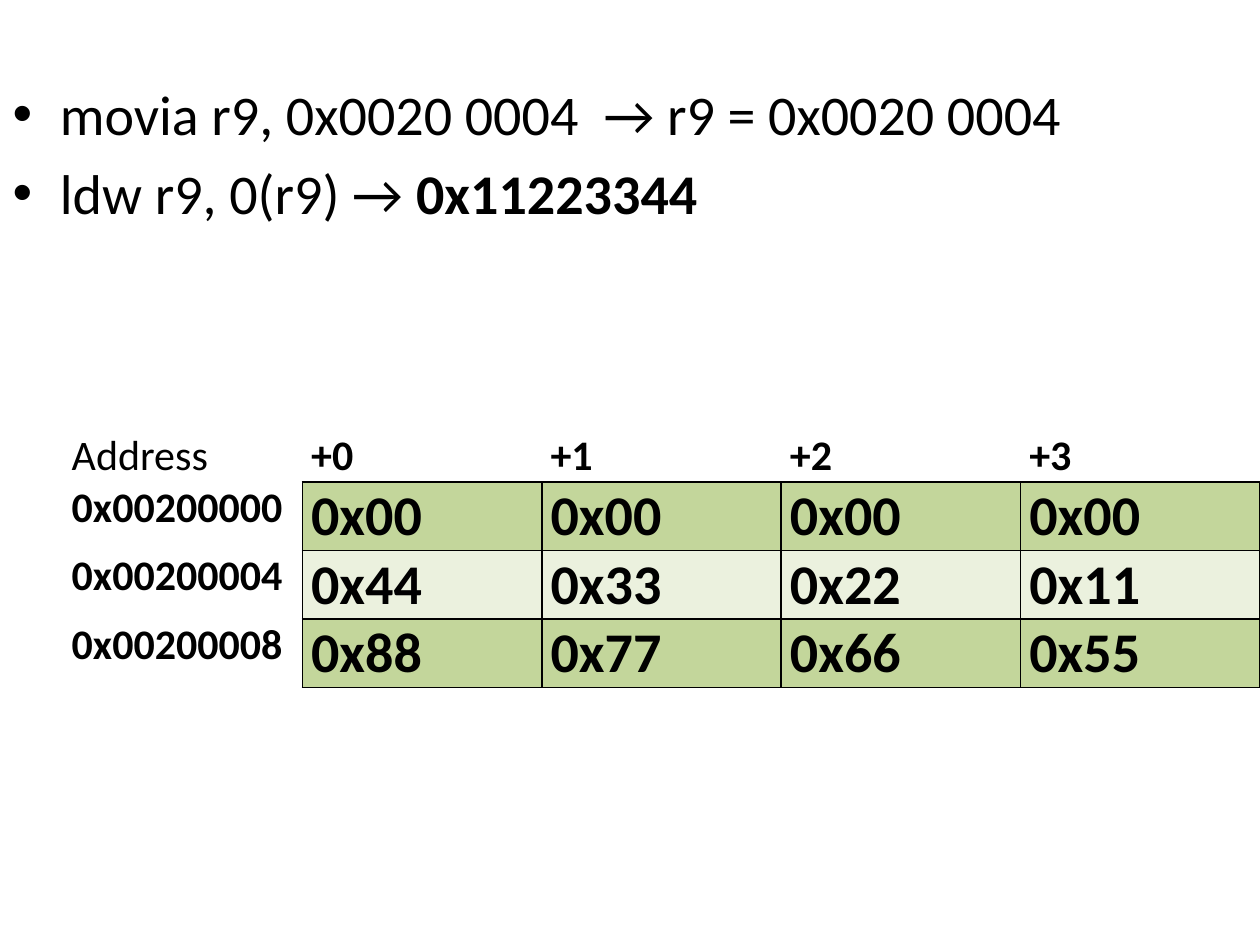
from dataclasses import dataclass

from lxml import etree
from pptx import Presentation
from pptx.dml.color import RGBColor
from pptx.enum.text import MSO_ANCHOR, MSO_AUTO_SIZE
from pptx.oxml.ns import qn
from pptx.util import Pt

TOP = MSO_ANCHOR.TOP
NO_AUTOFIT = MSO_AUTO_SIZE.NONE
TITLE_AND_CONTENT = 1
NO_STYLE_NO_GRID = "{2D5ABB26-0587-4C30-8999-92F81FD0307C}"


@dataclass(frozen=True)
class Theme:
    font: str = "Calibri"
    ink: str = "000000"
    bands: tuple = ("C3D69B", "EBF1DE")
    large: int = 32
    small: int = 24
    border: int = 1


THEME = Theme()

INSTRUCTIONS = [
    [("movia r9, 0x0020 0004  → r9 = 0x0020 0004", False)],
    [("ldw r9, 0(r9) → ", False), ("0x11223344", True)],
]

MEMORY = [
    ["Address", "+0", "+1", "+2", "+3"],
    ["0x00200000", "0x00", "0x00", "0x00", "0x00"],
    ["0x00200004", "0x44", "0x33", "0x22", "0x11"],
    ["0x00200008", "0x88", "0x77", "0x66", "0x55"],
]


def set_attrs(obj, values):
    for name, value in values.items():
        setattr(obj, name, value)


def add_run(p, text, size, bold):
    r = p.add_run()
    r.text = text
    set_attrs(r.font, {"name": THEME.font, "size": Pt(size), "bold": bold})
    r.font.color.rgb = RGBColor.from_string(THEME.ink)


def add_instructions(s, lines):
    sp = s.placeholders[1]
    set_attrs(sp, {"left": Pt(0), "top": Pt(42), "width": Pt(720), "height": Pt(498)})
    tf = sp.text_frame
    tf.auto_size = NO_AUTOFIT
    for i, line in enumerate(lines):
        p = tf.add_paragraph() if i else tf.paragraphs[0]
        for text, bold in line:
            add_run(p, text, THEME.large, bold)


def add_borders(cell, sides):
    tcPr = cell._tc.get_or_add_tcPr()
    for side in sides:
        ln = etree.SubElement(tcPr, qn(f"a:ln{side}"), w=str(Pt(THEME.border)))
        fill = etree.SubElement(ln, qn("a:solidFill"))
        etree.SubElement(fill, qn("a:srgbClr"), val=THEME.ink)


def format_cell(cell, text, row, col):
    is_data = row > 0 and col > 0
    set_attrs(cell, {
        "margin_left": Pt(5), "margin_right": Pt(5),
        "margin_top": Pt(0), "margin_bottom": Pt(0),
        "vertical_anchor": TOP,
    })
    size = THEME.large if is_data else THEME.small
    add_run(cell.text_frame.paragraphs[0], text, size, row > 0 or col > 0)
    if is_data:
        add_borders(cell, "LRTB")
        cell.fill.solid()
        band = THEME.bands[(row - 1) % len(THEME.bands)]
        cell.fill.fore_color.rgb = RGBColor.from_string(band)
    else:
        if row:
            add_borders(cell, "R")
        elif col:
            add_borders(cell, "B")
        cell.fill.background()


def add_memory_table(s, rows):
    heights = [29] + [39] * (len(rows) - 1)
    frame = s.shapes.add_table(len(rows), len(rows[0]), Pt(36), Pt(246.25),
                               Pt(684), Pt(sum(heights)))
    table = frame.table
    set_attrs(table, {"first_row": False, "horz_banding": False})
    table._tbl.tblPr.find(qn("a:tableStyleId")).text = NO_STYLE_NO_GRID
    for i, (height, texts) in enumerate(zip(heights, rows)):
        table.rows[i].height = Pt(height)
        for j, text in enumerate(texts):
            format_cell(table.cell(i, j), text, i, j)


def main():
    prs = Presentation()
    set_attrs(prs, {"slide_width": Pt(720), "slide_height": Pt(540)})
    s = prs.slides.add_slide(prs.slide_layouts[TITLE_AND_CONTENT])
    title = s.shapes.title.element
    title.getparent().remove(title)
    add_instructions(s, INSTRUCTIONS)
    add_memory_table(s, MEMORY)
    prs.save("out.pptx")


if __name__ == "__main__":
    main()
